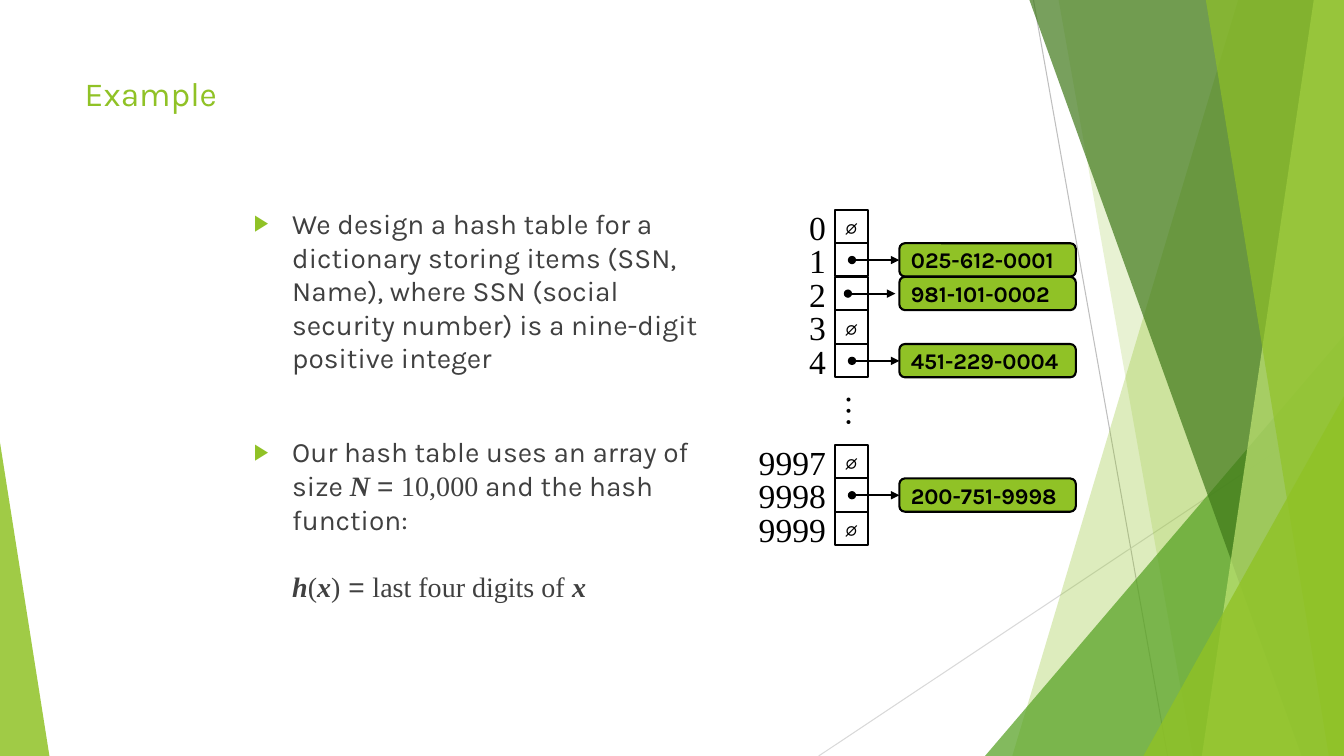
import pptx
import pptx.util
import pptx.dml.color
import pptx.enum.shapes
import pptx.enum.text
import pptx.oxml
import pptx.oxml.ns

PX = 9144
COLORS = {"lime": "90C226", "green": "54A021", "forest": "3F7819", "pale": "C0E474",
          "text": "404040", "black": "000000", "gray": "BFBFBF", "silver": "D9D9D9"}
SANS, SERIF, SYMBOL = "Karla", "Times New Roman", "Arial"

TITLE = "Example"
BOLD_ITALIC = {"font": SERIF, "bold": True, "italic": True}
BODY = [
    (True, 0, [("We design a hash table for a dictionary storing items (SSN, Name), where SSN "
                "(social security number) is a nine-digit positive integer", {})]),
    (True, 43, [("Our hash table uses an array of size ", {}), ("N ", BOLD_ITALIC),
                ("= ", {"font": SYMBOL}), ("10,000", {"font": SERIF}),
                (" and the hash function:", {})]),
    (False, 24, [("h", BOLD_ITALIC), ("(", {"font": SERIF}), ("x", BOLD_ITALIC),
                 (")", {"font": SERIF}), (" = ", {"font": SYMBOL}),
                 ("last four digits of ", {"font": SERIF}), ("x", BOLD_ITALIC)]),
]
ROWS = [
    (0, "0", None, 0),
    (1, "1", "025-612-0001", 0),
    (2, "2", "981-101-0002", -4),
    (3, "3", None, 0),
    (4, "4", "451-229-0004", 0),
    (7, "9997", None, 0),
    (8, "9998", "200-751-9998", 0),
    (9, "9999", None, 0),
]
THIN_LINES = [((1025, 0, 1158, 750), "gray"), ((1333, 403, 812, 750), "silver")]
FACETS = [
    ("polygon", [(1228, 0), (1333, 0), (1333, 750), (1004, 750)], "lime", 30),
    ("polygon", [(1050, 0), (1333, 0), (1333, 750), (1183, 750)], "lime", 20),
    ("triangle", (977, 333, 356, 417, 1), "green", 72),
    ("polygon", [(1021, 0), (1333, 0), (1333, 750), (1291, 750)], "forest", 70),
    ("polygon", [(1303, 0), (1333, 0), (1333, 750), (1192, 750)], "pale", 70),
    ("polygon", [(1196, 0), (1333, 0), (1333, 750), (1318, 750)], "lime", 65),
    ("triangle", (1134, 393, 199, 357, 1), "lime", 80),
    ("triangle", (0, 439, 49, 311, 0), "lime", 85),
]
ARRAY_X, ARRAY_Y, CELL, PITCH = 828, 208, 33, 100 / 3
CARD_X, CARD_W = 892, 175

SHAPE = pptx.enum.shapes.MSO_SHAPE
ALIGN = pptx.enum.text.PP_ALIGN
ANCHOR = pptx.enum.text.MSO_ANCHOR


def emu(*lengths):
    return [round(v * PX) for v in lengths]


def rgb(name):
    return pptx.dml.color.RGBColor.from_string(COLORS[name])


def add_xml(parent, tag, **attrs):
    el = pptx.oxml.parse_xml(f"<a:{tag} {pptx.oxml.ns.nsdecls('a')}/>")
    for key, value in attrs.items():
        el.set(key, str(value))
    parent.append(el)
    return el


def write(p, text, size=20, font=SANS, color="text", bold=False, italic=False, align=ALIGN.LEFT):
    p.alignment = align
    r = p.add_run()
    r.text = text
    r.font.size = pptx.util.Pt(size)
    r.font.name = font
    r.font.bold = bold
    r.font.italic = italic
    r.font.color.rgb = rgb(color)


def add_text(s, x, y, w, h):
    sp = s.shapes.add_textbox(*emu(x, y, w, h))
    sp.text_frame.word_wrap = True
    return sp


def add_line(s, ends, color, width):
    c = s.shapes.add_connector(pptx.enum.shapes.MSO_CONNECTOR.STRAIGHT, *emu(*ends))
    c.line.color.rgb = rgb(color)
    c.line.width = pptx.util.Pt(width)
    add_xml(c._element.spPr, "effectLst")
    return c


def add_arrow(s, ends):
    ln = add_line(s, ends, "black", 1.5).line._get_or_add_ln()
    add_xml(ln, "headEnd", type="oval")
    add_xml(ln, "tailEnd", type="triangle")


def add_box(s, kind, x, y, w, fill, inset):
    sp = s.shapes.add_shape(kind, *emu(x, y, w, CELL))
    sp.shadow.inherit = False
    if fill:
        sp.fill.solid()
        sp.fill.fore_color.rgb = rgb(fill)
    else:
        sp.fill.background()
    sp.line.color.rgb = rgb("black")
    sp.line.width = pptx.util.Pt(1.5)
    tf = sp.text_frame
    tf.word_wrap = True
    tf.vertical_anchor = ANCHOR.MIDDLE
    tf.margin_left = tf.margin_right = inset * PX
    tf.margin_top = tf.margin_bottom = 0
    return tf.paragraphs[0]


def add_facet(s, kind, geometry, color, opacity):
    if kind == "polygon":
        fb = s.shapes.build_freeform(*geometry[0], scale=PX)
        fb.add_line_segments(geometry[1:], close=True)
        sp = fb.convert_to_shape()
    else:
        sp = s.shapes.add_shape(SHAPE.ISOSCELES_TRIANGLE, *emu(*geometry[:4]))
        sp.adjustments[0] = geometry[4]
    sp.shadow.inherit = False
    sp.line.fill.background()
    sp.fill.solid()
    sp.fill.fore_color.rgb = rgb(color)
    clr = sp._element.spPr.find(".//" + pptx.oxml.ns.qn("a:srgbClr"))
    add_xml(clr, "alpha", val=opacity * 1000)


def add_body(s):
    tf = add_text(s, 242, 200, 475, 483).text_frame
    for i, (bullet, before, runs) in enumerate(BODY):
        p = tf.add_paragraph() if i else tf.paragraphs[0]
        pPr = p._p.get_or_add_pPr()
        pPr.set("marL", str(38 * PX))
        if bullet:
            pPr.set("indent", str(-38 * PX))
            add_xml(add_xml(pPr, "buClr"), "srgbClr", val=COLORS["lime"])
            add_xml(pPr, "buSzPct", val=80000)
            add_xml(pPr, "buFont", typeface=SYMBOL)
            add_xml(pPr, "buChar", char="▶")
        p.space_before = pptx.util.Pt(before)
        for text, fmt in runs:
            write(p, text, **fmt)


def add_row(s, slot, label, card, shift):
    y = ARRAY_Y + slot * PITCH
    tf = add_text(s, ARRAY_X - 99, y - 8, 100, 50).text_frame
    write(tf.paragraphs[0], label, size=24, font=SERIF, color="black", align=ALIGN.RIGHT)
    cell = add_box(s, SHAPE.RECTANGLE, ARRAY_X, y, CELL, None, 0)
    if card:
        p = add_box(s, SHAPE.ROUNDED_RECTANGLE, CARD_X, y, CARD_W, "lime", 10)
        write(p, card, size=16, color="black", bold=True)
        middle = y + PITCH / 2
        add_arrow(s, (ARRAY_X + 17 + shift, middle, CARD_X + shift, middle))
    else:
        write(cell, "∅", size=18, color="black", align=ALIGN.CENTER)


def main():
    prs = pptx.Presentation()
    prs.slide_width, prs.slide_height = emu(1333, 750)
    s = prs.slides.add_slide(prs.slide_layouts[5])
    for ends, color in THIN_LINES:
        add_line(s, ends, color, 0.75)
    for facet in FACETS:
        add_facet(s, *facet)
    title = s.shapes.title
    title.left, title.top, title.width, title.height = emu(74, 67, 940, 144)
    title.text_frame.vertical_anchor = ANCHOR.TOP
    write(title.text_frame.paragraphs[0], TITLE, size=24, color="lime")
    add_body(s)
    for row in ROWS:
        add_row(s, *row)
    dots = add_text(s, 827, 383, 53, 50)
    dots.rotation = 90
    write(dots.text_frame.paragraphs[0], "…", size=24, font=SERIF, color="black")
    prs.save("out.pptx")


if __name__ == "__main__":
    main()
